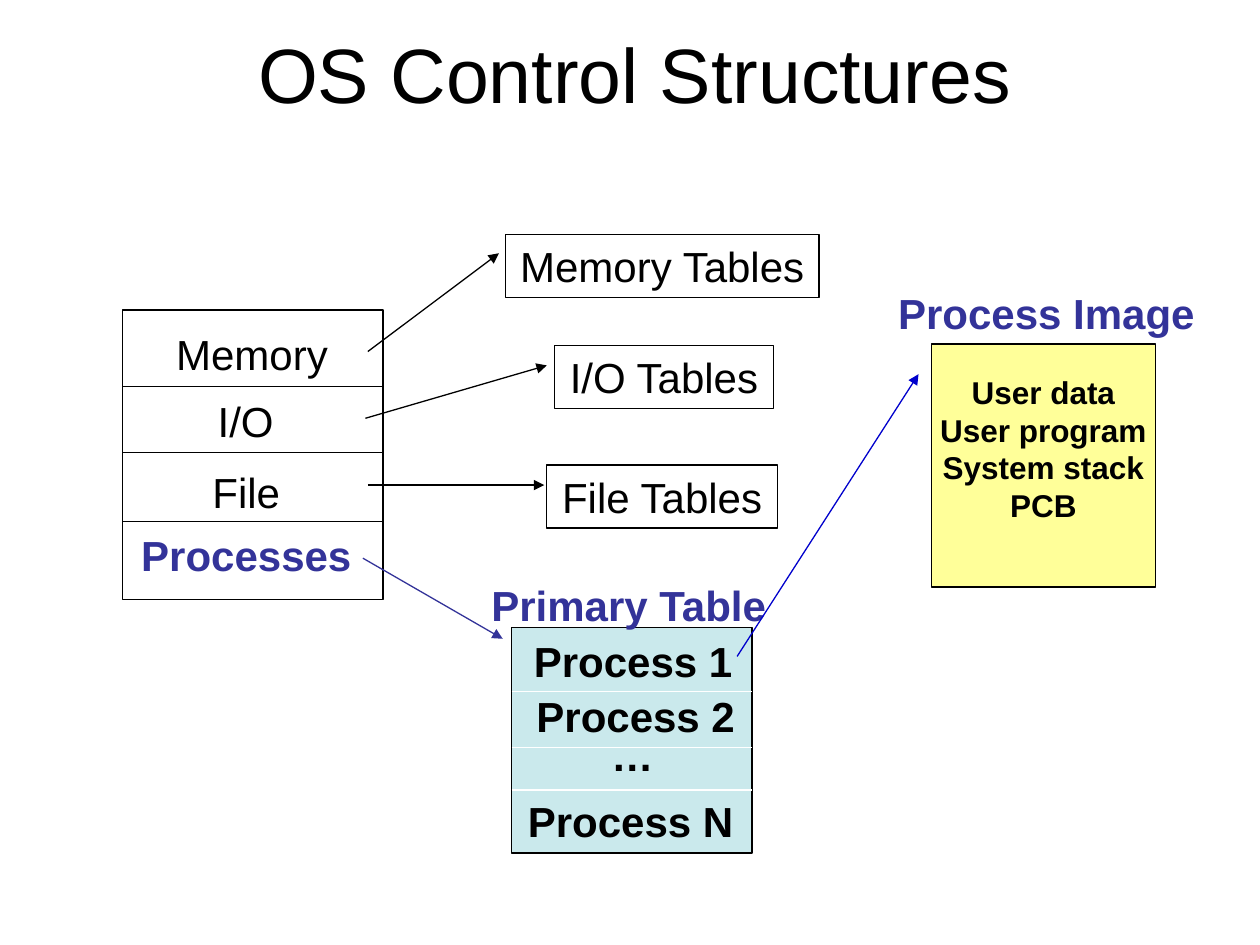
from dataclasses import dataclass

from lxml.etree import SubElement
from pptx import Presentation
from pptx.dml.color import RGBColor as RGB
from pptx.enum.shapes import MSO_CONNECTOR as Link, MSO_SHAPE as Form
from pptx.enum.text import MSO_ANCHOR as Anchor, MSO_AUTO_SIZE as Fit, PP_ALIGN as Align
from pptx.oxml.ns import qn
from pptx.util import Inches, Pt


@dataclass(frozen=True)
class Theme:
    font: str = "Arial"
    title: int = 44
    body: int = 24
    small: int = 18
    line: float = 0.75
    black: str = "000000"
    white: str = "FFFFFF"
    indigo: str = "333399"
    blue: str = "0000CC"
    teal: str = "CAE9EC"
    yellow: str = "FFFF99"


THEME = Theme()
COLS, ROWS = 100, 75
WIDTH, HEIGHT = Inches(10), Inches(7.5)
LABEL = 5  # rows taken by one line of body text
SLACK = 0.2  # columns added on each side of a label, so that its line never breaks


def grid(x, y):
    return round(x * WIDTH / COLS), round(y * HEIGHT / ROWS)


def write(frame, text, size=THEME.body, color=THEME.black, bold=False, wrap=False, fit=Fit.SHAPE_TO_FIT_TEXT):
    frame.text = text
    frame.word_wrap = wrap
    frame.auto_size = fit
    frame.vertical_anchor = Anchor.MIDDLE
    for para in frame.paragraphs:
        para.alignment = Align.CENTER
        for run in para.runs:
            font = run.font
            font.name, font.size, font.bold = THEME.font, Pt(size), bold
            font.color.rgb = RGB.from_string(color)


def label(slide, box, text, **style):
    left, top, wide, high = box
    shape = slide.shapes.add_textbox(*grid(left - SLACK, top), *grid(wide + 2 * SLACK, high))
    write(shape.text_frame, text, **style)


def panel(slide, box, fill=None):
    left, top, wide, high = box
    shape = slide.shapes.add_shape(Form.RECTANGLE, *grid(left, top), *grid(wide, high))
    shape.shadow.inherit = False
    if fill:
        shape.fill.solid()
        shape.fill.fore_color.rgb = RGB.from_string(fill)
    else:
        shape.fill.background()
    shape.line.color.rgb = RGB.from_string(THEME.black)
    shape.line.width = Pt(THEME.line)
    return shape


def rule(slide, start, end, color=THEME.black, arrow=False):
    line = slide.shapes.add_connector(Link.STRAIGHT, *grid(*start), *grid(*end))
    line.line.color.rgb = RGB.from_string(color)
    line.line.width = Pt(THEME.line)
    if arrow:
        SubElement(line.line._get_or_add_ln(), qn("a:tailEnd"), type="triangle")
    SubElement(line._element.spPr, qn("a:effectLst"))


def stack(slide, box, fill, cuts, color, cells):
    """Box cut into rows; cuts and cells are measured from its top left corner."""
    left, top, wide, _ = box
    panel(slide, box, fill)
    for cut in cuts:
        rule(slide, (left, top + cut), (left + wide, top + cut), color)
    for text, x, y, span, style in cells:
        label(slide, (left + x, top + y, span, LABEL), text, **style)


def heading(slide, box, text):
    title = slide.shapes.title
    left, top, wide, high = box
    title.left, title.top = grid(left, top)
    title.width, title.height = grid(wide, high)
    write(title.text_frame, text, size=THEME.title, wrap=True, fit=Fit.NONE)


def control(slide, box):
    stack(slide, box, THEME.white, (6.1, 11.3, 16.8), THEME.black, (
        ("Memory", 3.3, 1, 14, {}),
        ("I/O", 6.6, 6.3, 6.4, {}),
        ("File", 6.2, 11.9, 7.3, {}),
        ("Processes", 0.5, 16.9, 18.7, {"bold": True, "color": THEME.indigo}),
    ))


def tables(slide, box):
    left, top, _, _ = box
    for text, x, y, span in (
        ("Memory Tables", 0, 0, 24.9),
        ("I/O Tables", 3.9, 8.8, 17.4),
        ("File Tables", 3.3, 18.3, 18.3),
    ):
        write(panel(slide, (left + x, top + y, span, LABEL)).text_frame, text)


def primary(slide, box):
    left, top, _, _ = box
    bold = {"bold": True}
    stack(slide, box, THEME.teal, (5.1, 9.5, 12.9), THEME.white, (
        ("Process 1", 0.8, 0.1, 17.7, bold),
        ("Process 2", 1, 4.5, 17.7, bold),
        (" … ", 6, 7.6, 7.2, bold),
        ("Process N", 0.3, 12.8, 18.3, bold),
    ))
    label(slide, (left - 2.7, top - 4.3, 24, LABEL), "Primary Table", color=THEME.indigo, bold=True)


def image(slide, box):
    left, top, wide, _ = box
    panel(slide, box, THEME.yellow)
    label(slide, (left - 3.6, top - LABEL, 25.5, LABEL), "Process Image", color=THEME.indigo, bold=True)
    label(slide, (left - 0.3, top + 1.8, wide + 0.6, 13),
          "User data\nUser program\nSystem stack\nPCB", size=THEME.small, bold=True)


def arrows(slide):
    for start, end, color in (
        ((29.2, 27.9), (39.6, 20.1), THEME.black),
        ((29, 33.2), (43.4, 29), THEME.black),
        ((29.2, 38.5), (43.2, 38.5), THEME.black),
        ((28.8, 44.3), (39.9, 50.7), THEME.indigo),
        ((58.5, 52.1), (72.9, 29.7), THEME.blue),
    ):
        rule(slide, start, end, color, arrow=True)


def main():
    deck = Presentation()
    deck.slide_width, deck.slide_height = WIDTH, HEIGHT
    slide = deck.slides.add_slide(deck.slide_layouts[5])
    heading(slide, (7.9, 1.8, 85, 8), "OS Control Structures")
    control(slide, (9.7, 24.6, 20.7, 23))
    tables(slide, (40.1, 18.6, 24.9, 23.3))
    primary(slide, (40.6, 49.8, 19.1, 17.9))
    image(slide, (73.9, 27.3, 17.8, 19.3))
    arrows(slide)
    deck.save("out.pptx")


if __name__ == "__main__":
    main()
